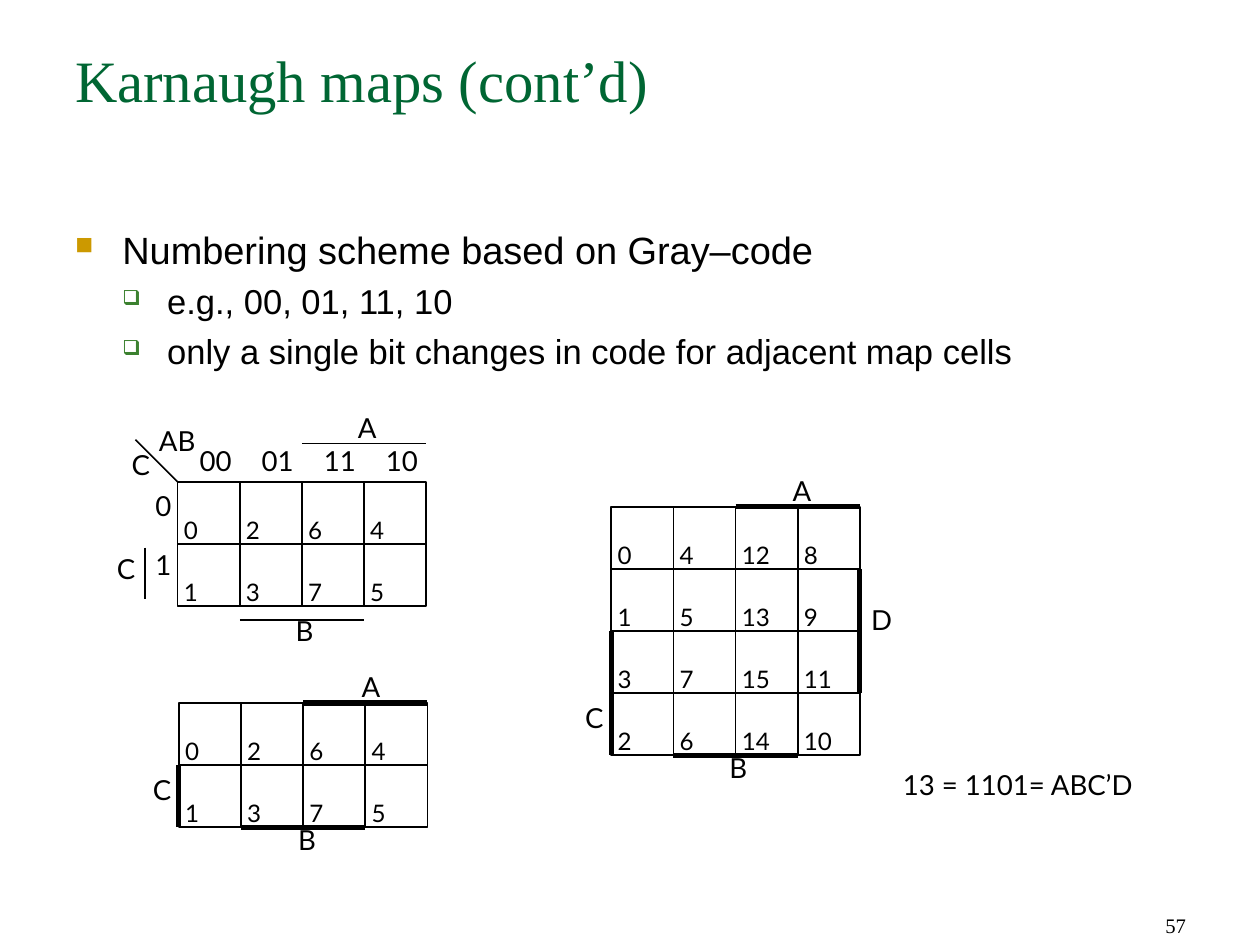
from pptx import Presentation
from pptx.dml.color import RGBColor as RGB
from pptx.enum.shapes import MSO_CONNECTOR as CONN, MSO_SHAPE as SHAPE
from pptx.enum.text import MSO_ANCHOR as ANCHOR, PP_ALIGN as ALIGN
from pptx.oxml.ns import qn
from pptx.util import Inches, Pt
from lxml.etree import SubElement as sub

WIDE, HIGH = 10.14, 7.6
CELL = 0.5
BLACK = RGB(0, 0, 0)
GREEN = RGB(0x00, 0x66, 0x33)
GOLD = RGB(0xCC, 0x99, 0x00)
LEAF = RGB(0x3B, 0x81, 0x2F)
THIN, THICK = 1, 3


def add_text(slide, box, text, size, font, color=BLACK, pad=(0.1, 0.05)):
    """Add a text box; box is left, top, width, height in inches."""
    frame = slide.shapes.add_textbox(*map(Inches, box)).text_frame
    frame.word_wrap = True
    frame.margin_left = frame.margin_right = Inches(pad[0])
    frame.margin_top = frame.margin_bottom = Inches(pad[1])
    frame.text = text
    for para in frame.paragraphs:
        for run in para.runs:
            run.font.size = Pt(size)
            run.font.name = font
            run.font.color.rgb = color
    return frame


def add_share(slide, box, *style):
    """Add text in a box given as shares of the slide."""
    left, top, wide, high = box
    return add_text(slide, (left * WIDE, top * HIGH, wide * WIDE, high * HIGH), *style)


def add_bullet(para, mark, color, share, left, hang):
    props = para._p.get_or_add_pPr()
    props.set("marL", str(Inches(left)))
    props.set("indent", str(-Inches(hang)))
    tint = sub(props, qn("a:buClr"))
    sub(tint, qn("a:srgbClr"), val=str(color))
    sub(props, qn("a:buSzPct"), val=str(share * 1000))
    sub(props, qn("a:buChar"), char=mark)
    para.space_before = Pt(5)


def add_tab(para):
    tabs = sub(para._p.get_or_add_pPr(), qn("a:tabLst"))
    sub(tabs, qn("a:tab"), pos=str(Inches(CELL)), algn="l")


def add_line(slide, spot, ends, width):
    """Draw a line; ends are x, y, x, y in cells from the map corner."""
    x1, y1, x2, y2 = (Inches(spot[i % 2] + CELL * end) for i, end in enumerate(ends))
    line = slide.shapes.add_connector(CONN.STRAIGHT, x1, y1, x2, y2)
    line.line.color.rgb = BLACK
    line.line.width = Pt(width)
    sub(line._element.spPr, qn("a:effectLst"))


def add_label(slide, spot, text, col, row, wide=0.64, align=ALIGN.LEFT):
    box = (spot[0] + CELL * col, spot[1] + CELL * row, wide, 0.36)
    para = add_text(slide, box, text, 16, "Lato", pad=(0.02, 0.03)).paragraphs[0]
    para.alignment = align
    para.line_spacing = Pt(16)


def add_quad(slide, spot, col, row, cells):
    """Draw a block of two by two cells with its numbers."""
    left, top = spot[0] + CELL * col, spot[1] + CELL * row
    rect = slide.shapes.add_shape(SHAPE.RECTANGLE, *map(Inches, (left, top, 2 * CELL, 2 * CELL)))
    rect.shadow.inherit = False
    rect.fill.background()
    rect.line.color.rgb = BLACK
    rect.line.width = Pt(THIN)
    add_line(slide, (left, top), (1, 0, 1, 2), THIN)
    add_line(slide, (left, top), (0, 1, 2, 1), THIN)
    text = "\n".join("\t".join(map(str, pair)) for pair in cells)
    box = (left + 0.03, top + 0.22, 0.9, 0.89)
    frame = add_text(slide, box, text, 14, "Lato", pad=(0.02, 0.03))
    for para in frame.paragraphs:
        para.line_spacing = Pt(18)
        add_tab(para)
    frame.paragraphs[1].space_before = Pt(18)


def add_map(slide, spot, grid, bars, names, width):
    for row in range(0, len(grid), 2):
        for col in range(0, len(grid[0]), 2):
            add_quad(slide, spot, col, row, [line[col:col + 2] for line in grid[row:row + 2]])
    for ends in bars:
        add_line(slide, spot, ends, width)
    for name in names:
        add_label(slide, spot, *name)


def main():
    deck = Presentation()
    deck.slide_width, deck.slide_height = Inches(WIDE), Inches(HIGH)
    slide = deck.slides.add_slide(deck.slide_layouts[6])

    # Title, bullets and page number
    add_share(slide, (0.05, 0.04, 0.9, 0.17), "Karnaugh maps (cont’d)", 34, "Times New Roman", GREEN)
    points = ["Numbering scheme based on Gray–code", "e.g., 00, 01, 11, 10",
              "only a single bit changes in code for adjacent map cells"]
    body = add_share(slide, (0.05, 0.233, 0.9, 0.2), "\n".join(points), 20, "Arial")
    head, *rest = body.paragraphs
    head.runs[0].font.size = Pt(22)
    add_bullet(head, "■", GOLD, 65, 0.38, 0.38)
    for para in rest:
        para.level = 1
        add_bullet(para, "❑", LEAF, 60, 0.74, 0.36)
    page = add_share(slide, (0.717, 0.933, 0.234, 0.067), "57", 12, "Times New Roman")
    page.vertical_anchor = ANCHOR.BOTTOM
    page.paragraphs[0].alignment = ALIGN.RIGHT

    # Three-variable map with its codes
    three = [(0, 2, 6, 4), (1, 3, 7, 5)]
    spot = (1.43, 3.88)
    add_map(slide, spot, three,
            [(0, 0, -0.68, -0.68), (2, -0.62, 4, -0.62),
             (1, 2.22, 3, 2.22), (-0.52, 1.06, -0.52, 1.88)],
            [("AB", -0.34, -0.9), ("C", -0.78, -0.52), ("0", -0.4, 0.14), ("1", -0.4, 1.1),
             ("A", 2.86, -1.12), ("B", 1.86, 2.16), ("C", -1.02, 1.16)], THIN)
    for col, code in enumerate(("00", "01", "11", "10")):
        add_label(slide, spot, code, col, -0.58, 0.61, ALIGN.CENTER)

    # Three-variable map with bars
    add_map(slide, (1.44, 5.66), three,
            [(2, 0, 4, 0), (1, 2, 3, 2), (0, 1, 0, 2)],
            [("A", 2.9, -0.5), ("B", 1.88, 1.96), ("C", -0.46, 1.16)], THICK)

    # Four-variable map with bars
    four = [(0, 4, 12, 8), (1, 5, 13, 9), (3, 7, 15, 11), (2, 6, 14, 10)]
    add_map(slide, (4.92, 4.08), four,
            [(2, 0, 4, 0), (1, 4, 3, 4), (0, 2, 0, 4), (4, 1, 4, 3)],
            [("A", 2.88, -0.5), ("B", 1.86, 3.96), ("C", -0.46, 3.16), ("D", 4.14, 1.58)], THICK)
    add_share(slide, (0.707, 0.807, 0.22, 0.05), "13 = 1101= ABC’D", 16, "Lato")

    deck.save("out.pptx")


if __name__ == "__main__":
    main()
